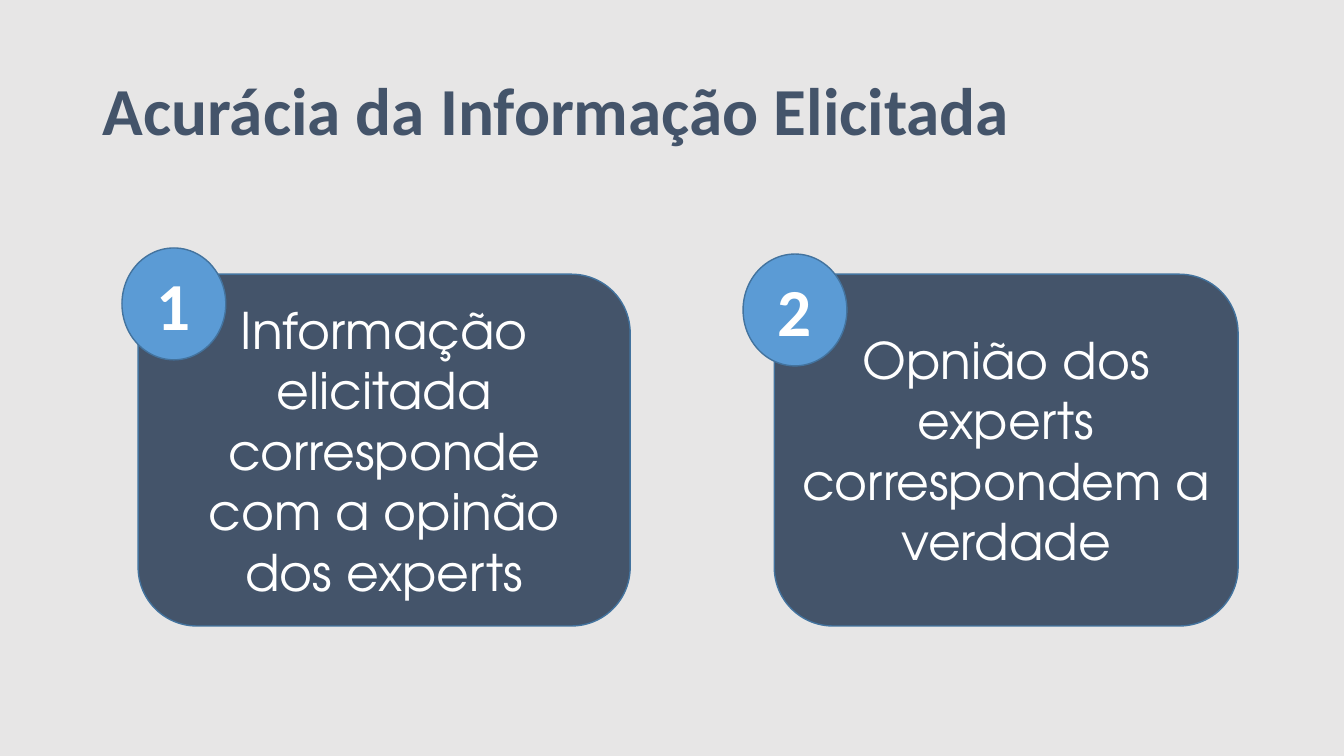
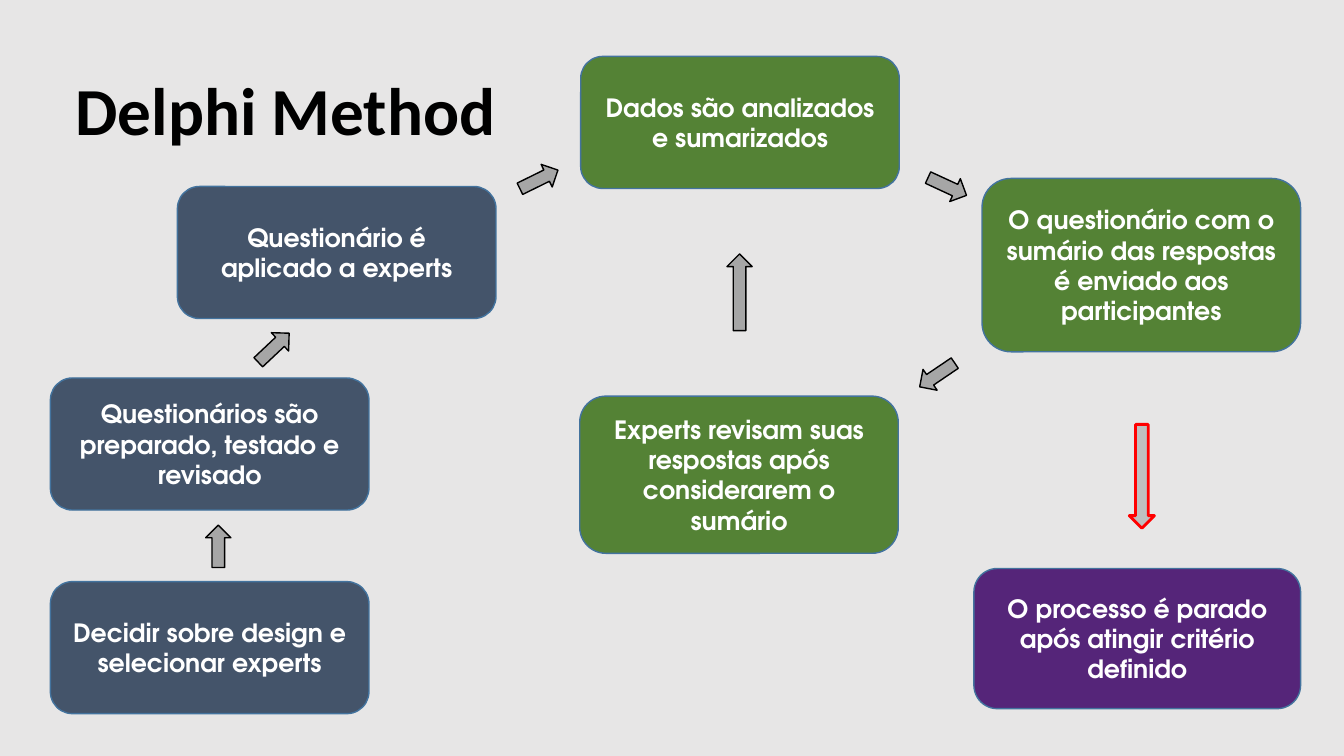
from pptx import Presentation
from pptx.dml.color import RGBColor
from pptx.enum.shapes import MSO_SHAPE as Shape
from pptx.enum.text import MSO_ANCHOR as Anchor, PP_ALIGN as Align
from pptx.util import Inches, Pt

BACKGROUND, NAVY, BLUE, OUTLINE = "E7E6E6", "44546A", "5B9BD5", "43739E"
GREEN, PURPLE, GRAY, LIGHT_GRAY = "548235", "552579", "A6A6A6", "BFBFBF"
WHITE, BLACK, RED = "FFFFFF", "000000", "FF0000"
HEADING_FONT, BODY_FONT = "Calibri", "TeX Gyre Adventor"


def rgb(value):
    return RGBColor.from_string(value)


def write(frame, text, *, size, font=BODY_FONT, color=WHITE, bold=False,
          align=Align.CENTER, spacing=None):
    """Fill a text frame, with one paragraph for each line of text."""
    frame.word_wrap = True
    frame.vertical_anchor = Anchor.MIDDLE
    for index, line in enumerate(text.split("\n")):
        paragraph = frame.paragraphs[0] if index == 0 else frame.add_paragraph()
        paragraph.alignment = align
        paragraph.line_spacing = spacing
        run = paragraph.add_run()
        run.text = line
        run.font.size, run.font.bold, run.font.name = Pt(size), bold, font
        run.font.color.rgb = rgb(color)


class Deck:
    def __init__(self):
        self.presentation = Presentation()
        self.presentation.slide_width = Inches(13.33)
        self.presentation.slide_height = Inches(7.5)
        self.slide = None

    def new_slide(self, title, left, color):
        blank = self.presentation.slide_layouts[6]
        self.slide = self.presentation.slides.add_slide(blank)
        fill = self.slide.background.fill
        fill.solid()
        fill.fore_color.rgb = rgb(BACKGROUND)
        heading = self.slide.shapes.add_textbox(
            Inches(left), Inches(0.4), Inches(11.5), Inches(1.45))
        write(heading.text_frame, title, size=48, font=HEADING_FONT,
              color=color, bold=True, align=Align.LEFT, spacing=0.9)

    def shape(self, kind, left, top, width, height, fill, line=OUTLINE, weight=1):
        shape = self.slide.shapes.add_shape(
            kind, Inches(left), Inches(top), Inches(width), Inches(height))
        shape.shadow.inherit = False
        shape.fill.solid()
        shape.fill.fore_color.rgb = rgb(fill)
        shape.line.color.rgb = rgb(line)
        shape.line.width = Pt(weight)
        return shape

    def card(self, text, left, top, width, height, fill=NAVY, size=18, bold=True):
        card = self.shape(Shape.ROUNDED_RECTANGLE, left, top, width, height, fill)
        write(card.text_frame, text, size=size, bold=bold)

    def badge(self, number, left, top):
        badge = self.shape(Shape.OVAL, left, top, 1.03, 1.11, BLUE)
        write(badge.text_frame, number, size=48, font=HEADING_FONT, bold=True)

    def arrow(self, left, top, length=0.42, turn=0, fill=GRAY, line=BLACK, weight=1):
        """Draw an upward arrow, turned clockwise by the given degrees."""
        arrow = self.shape(Shape.UP_ARROW, left, top, 0.25, length, fill, line, weight)
        arrow.rotation = turn


def accuracy_slide(deck):
    deck.new_slide("Acurácia da Informação Elicitada", 0.92, NAVY)
    statements = [
        ("Informação elicitada corresponde com a opinão dos experts",
         1.37, 4.88, 1.21, 2.46),
        ("Opnião dos experts correspondem a verdade", 7.68, 4.6, 7.37, 2.52),
    ]
    for number, (text, left, width, badge_left, badge_top) in enumerate(statements, 1):
        deck.card(text, left, 2.72, width, 3.49, size=36, bold=False)
        deck.badge(str(number), badge_left, badge_top)


def delphi_slide(deck):
    deck.new_slide("Delphi Method", 0.65, BLACK)
    step_width, step_height = 3.16, 1.31
    preparation = [
        ("Decidir sobre design e selecionar experts", 0.5, 5.77),
        ("Questionários são\npreparado, testado e\nrevisado", 0.5, 3.75),
        ("Questionário é aplicado a experts", 1.76, 1.85),
    ]
    for text, left, top in preparation:
        deck.card(text, left, top, step_width, step_height)

    feedback_cycle = [
        ("Dados são analizados e sumarizados", 5.76, 0.56, step_height),
        ("Experts revisam suas respostas após considerarem o sumário",
         5.75, 3.93, 1.56),
        ("O questionário com o sumário das respostas é enviado aos participantes",
         9.74, 1.77, 1.72),
    ]
    for text, left, top, height in feedback_cycle:
        deck.card(text, left, top, step_width, height, GREEN)
    deck.card("O processo é parado após atingir critério definido",
              9.66, 5.64, 3.24, 1.39, PURPLE)

    short_arrows = [(2.04, 5.21, 0), (2.59, 3.24, 46.7), (5.22, 1.57, 63.8),
                    (9.27, 1.64, 114.8), (9.17, 3.51, 235.9)]
    for left, top, turn in short_arrows:
        deck.arrow(left, top, turn=turn)
    deck.arrow(7.21, 2.52, length=0.76)
    deck.arrow(11.2, 4.21, length=1.03, turn=180,
               fill=LIGHT_GRAY, line=RED, weight=2)


def main():
    deck = Deck()
    accuracy_slide(deck)
    delphi_slide(deck)
    deck.presentation.save("out.pptx")


if __name__ == "__main__":
    main()
